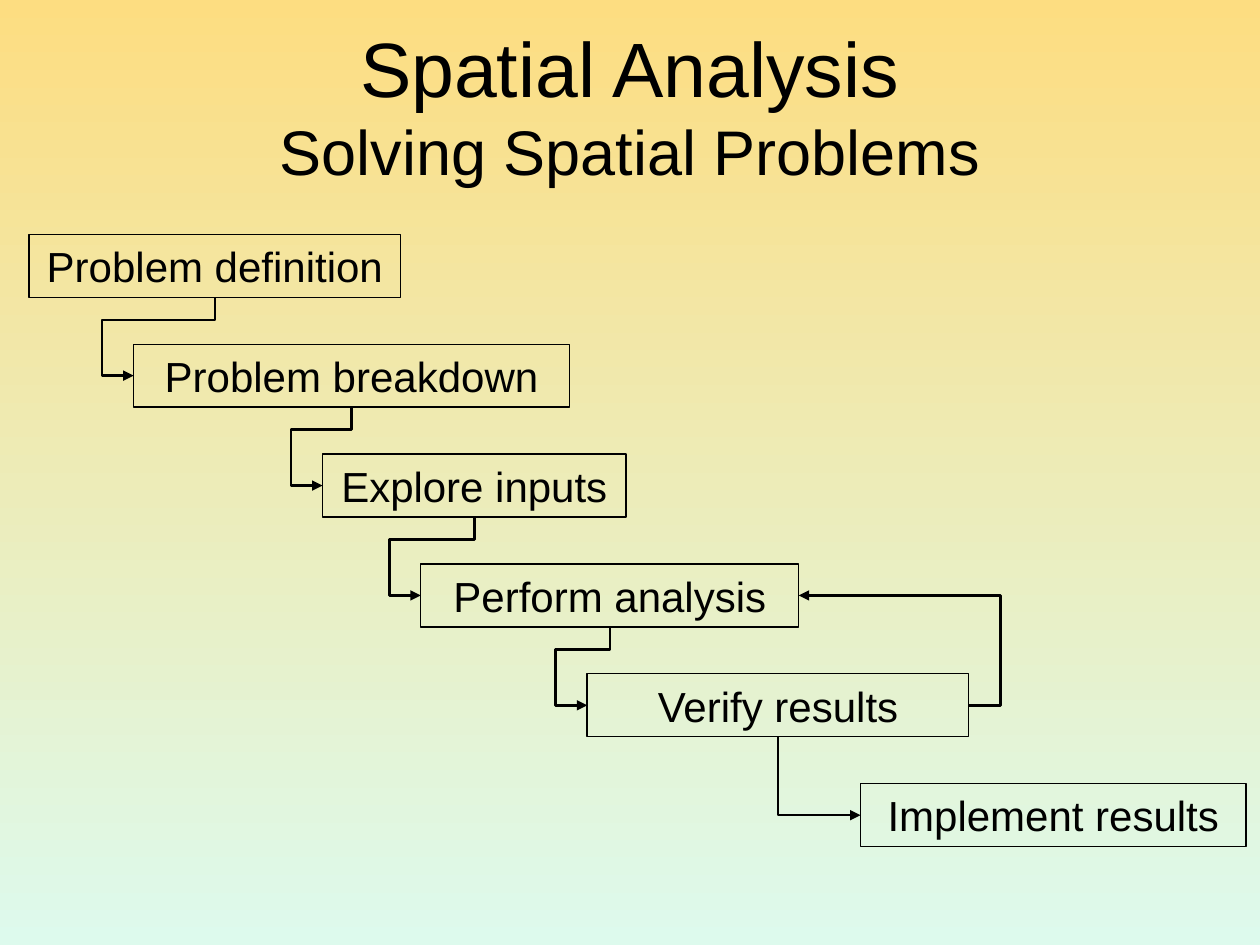
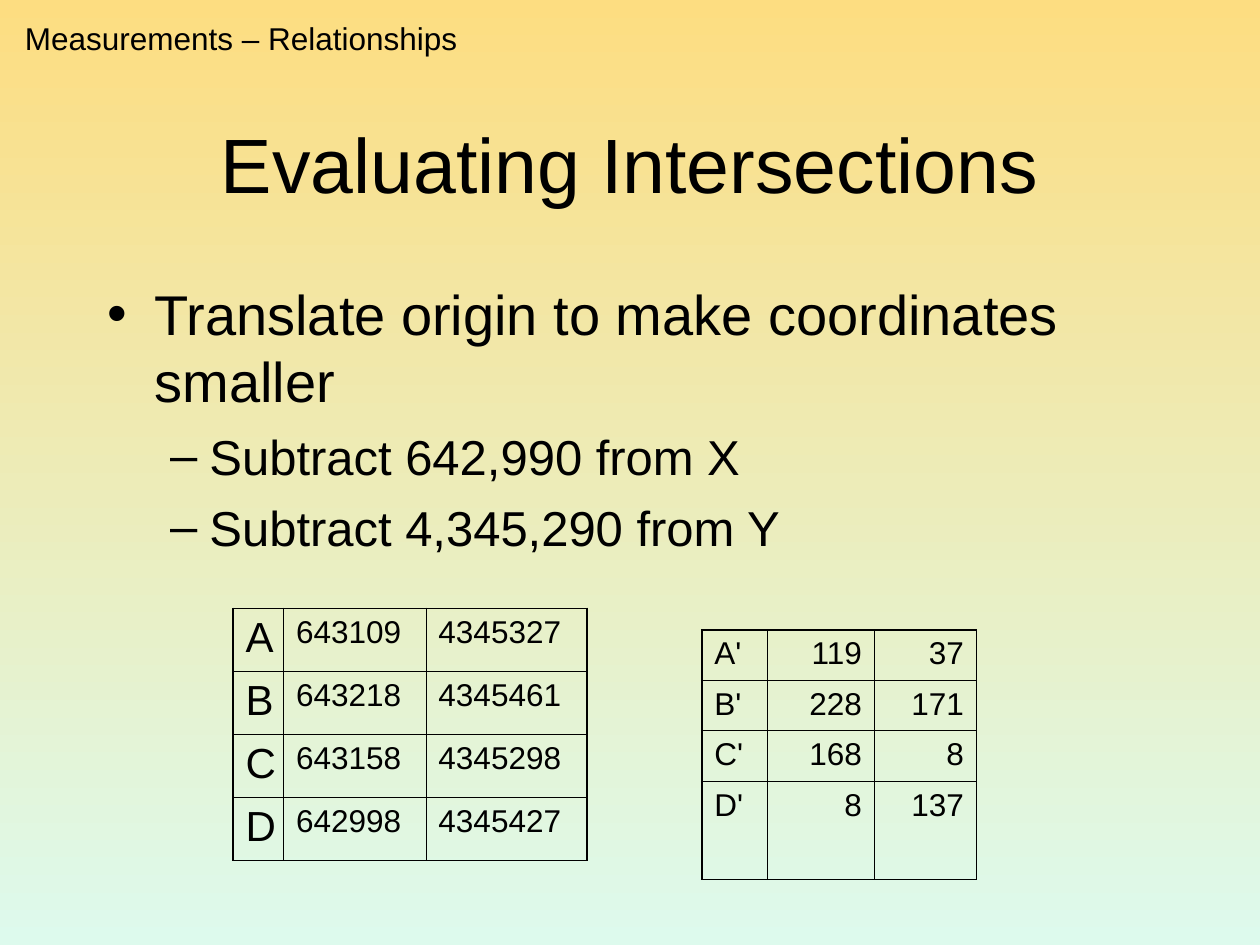
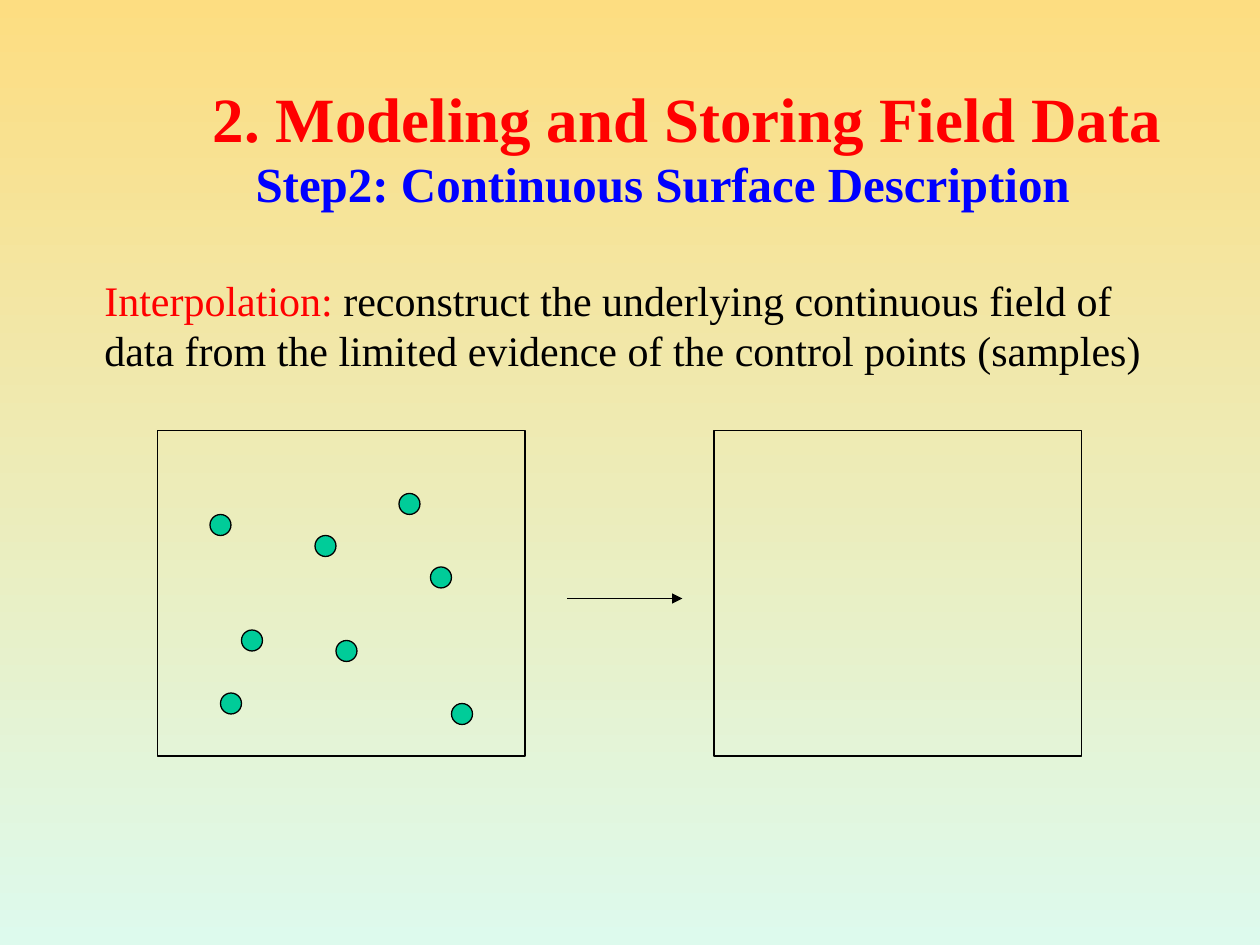
import pptx
import pptx.dml.color
import pptx.enum.shapes
import pptx.enum.text
import pptx.oxml
import pptx.oxml.ns
import pptx.util
from lxml import etree

SLIDE_SIZE = (10, 7.5)
BLACK, RED, BLUE, GREEN = "000000", "FF0000", "0000FF", "00CC99"
GRADIENT = ("FDDD81", "DDFAED")
SANS, SERIF = "Arial", "Times New Roman"
ALIGN = pptx.enum.text.PP_ALIGN
ANCHOR = pptx.enum.text.MSO_ANCHOR
SHAPE = pptx.enum.shapes.MSO_SHAPE
CONNECTOR = pptx.enum.shapes.MSO_CONNECTOR

STEPS = [
    ("Problem definition", 0.23, 2.95),
    ("Problem breakdown", 1.06, 3.46),
    ("Explore inputs", 2.56, 2.41),
    ("Perform analysis", 3.34, 3.0),
    ("Verify results", 4.66, 3.03),
    ("Implement results", 6.83, 3.06),
]
FIRST_STEP_TOP, LAST_STEP_TOP, STEP_HEIGHT = 1.86, 6.22, 0.5
ELBOW_DROP, ELBOW_OVERHANG = 0.18, 0.25

BULLETS = [
    (0, "Translate origin to make coordinates smaller", 32, 0),
    (1, "Subtract 642,990 from X", 28, 7),
    (1, "Subtract 4,345,290 from Y", 28, 7),
]
TRANSLATED = {
    "place": (5.57, 5),
    "columns": (0.52, 0.85, 0.81),
    "rows": (0.4, 0.4, 0.4, 0.78),
    "label_size": 18,
    "number_align": ALIGN.RIGHT,
    "cells": [("A'", "119", "37"), ("B'", "228", "171"), ("C'", "168", "8"), ("D'", "8", "137")],
}
MEASURED = {
    "place": (1.85, 4.83),
    "columns": (0.4, 1.13, 1.28),
    "rows": (0.5,) * 4,
    "label_size": 24,
    "number_align": ALIGN.LEFT,
    "cells": [("A", "643109", "4345327"), ("B", "643218", "4345461"),
              ("C", "643158", "4345298"), ("D", "642998", "4345427")],
}
OUTER_BORDER, INNER_BORDER = 1.08, 0.45

GRID = 1 / 12
FIELD_COLUMNS, FIELD_ROW, FIELD_SPAN = (15, 68), 41, (35, 31)
SAMPLES = [(20, 49), (23, 60), (41, 54), (38, 47), (21, 66), (30, 51), (32, 61), (43, 67)]
SAMPLE_SPAN = 2
ARROW_COLUMNS, ARROW_ROW = (54, 65), 57


def color(value):
    return pptx.dml.color.RGBColor.from_string(value)


def inches(*values):
    return [pptx.util.Inches(value) for value in values]


def format_run(run, size, font=SANS, ink=BLACK, bold=False):
    run.font.name = font
    run.font.size = pptx.util.Pt(size)
    run.font.bold = bold
    run.font.color.rgb = color(ink)


def fill_paragraph(paragraph, text, size, **style):
    paragraph.text = text
    for run in paragraph.runs:
        format_run(run, size, **style)


def set_title(slide, text, place, size=44):
    title = slide.shapes.title
    title.left, title.top, title.width, title.height = inches(*place)
    title.text_frame.auto_size = pptx.enum.text.MSO_AUTO_SIZE.NONE
    title.text_frame.vertical_anchor = ANCHOR.MIDDLE
    paragraph = title.text_frame.paragraphs[0]
    paragraph.alignment = ALIGN.CENTER
    fill_paragraph(paragraph, text, size)
    return title


def add_text(slide, text, place, size, wrap=False, **style):
    frame = slide.shapes.add_textbox(*inches(*place)).text_frame
    frame.word_wrap = wrap
    fill_paragraph(frame.paragraphs[0], text, size, **style)
    return frame.paragraphs[0]


def add_outline(slide, kind, place, fill=None):
    shape = slide.shapes.add_shape(kind, *inches(*place))
    shape.shadow.inherit = False
    if fill:
        shape.fill.solid()
        shape.fill.fore_color.rgb = color(fill)
    else:
        shape.fill.background()
    shape.line.color.rgb = color(BLACK)
    shape.line.width = pptx.util.Pt(0.75)
    return shape


def add_arrow(slide, kind, start, end, width):
    connector = slide.shapes.add_connector(kind, *inches(*start, *end))
    connector.line.color.rgb = color(BLACK)
    connector.line.width = pptx.util.Pt(width)
    tail = etree.SubElement(connector.line._get_or_add_ln(), pptx.oxml.ns.qn("a:tailEnd"))
    tail.set("type", "triangle")
    etree.SubElement(connector._element.spPr, pptx.oxml.ns.qn("a:effectLst"))
    return connector


def add_elbow(slide, start, end, preset, bends, rotation=0):
    if rotation:
        center_x, center_y = (start[0] + end[0]) / 2, (start[1] + end[1]) / 2
        half_width = abs(end[1] - start[1]) / 2
        half_height = abs(end[0] - start[0]) / 2
        if rotation == 270:
            half_width = -half_width
        start = (center_x - half_width, center_y - half_height)
        end = (center_x + half_width, center_y + half_height)
    connector = add_arrow(slide, CONNECTOR.ELBOW, start, end, 1.5)
    properties = connector._element.spPr
    if rotation:
        properties.find(pptx.oxml.ns.qn("a:xfrm")).set("rot", str(rotation * 60000))
    geometry = properties.find(pptx.oxml.ns.qn("a:prstGeom"))
    geometry.set("prst", preset)
    guides = geometry.find(pptx.oxml.ns.qn("a:avLst"))
    if guides is None:
        guides = etree.SubElement(geometry, pptx.oxml.ns.qn("a:avLst"))
    for number, bend in enumerate(bends, 1):
        guide = etree.SubElement(guides, pptx.oxml.ns.qn("a:gd"))
        guide.set("name", f"adj{number}" if len(bends) > 1 else "adj1")
        guide.set("fmla", f"val {round(bend * 100000)}")


def border_cell(cell, outer_sides):
    properties = cell._tc.get_or_add_tcPr()
    for side in "LRTB":
        width = OUTER_BORDER if side in outer_sides else INNER_BORDER
        properties.append(pptx.oxml.parse_xml(
            f'<a:ln{side} {pptx.oxml.ns.nsdecls("a")} w="{pptx.util.Pt(width)}">'
            f'<a:solidFill><a:srgbClr val="{BLACK}"/></a:solidFill></a:ln{side}>'))
    cell.fill.background()


def add_grid_table(slide, data):
    columns, rows = data["columns"], data["rows"]
    place = inches(*data["place"], sum(columns), sum(rows))
    table = slide.shapes.add_table(len(rows), len(columns), *place).table
    table.first_row = table.horz_banding = False
    for column, width in zip(table.columns, columns):
        column.width = pptx.util.Inches(width)
    for row, height in zip(table.rows, rows):
        row.height = pptx.util.Inches(height)
    last_row, last_column = len(rows) - 1, len(columns) - 1
    for row_index, values in enumerate(data["cells"]):
        for column_index, value in enumerate(values):
            cell = table.cell(row_index, column_index)
            paragraph = cell.text_frame.paragraphs[0]
            is_label = column_index == 0
            paragraph.alignment = ALIGN.LEFT if is_label else data["number_align"]
            fill_paragraph(paragraph, value, data["label_size"] if is_label else 18)
            edges = {"L": is_label, "R": column_index == last_column,
                     "T": row_index == 0, "B": row_index == last_row}
            border_cell(cell, [side for side, outer in edges.items() if outer])


def build_process(presentation):
    slide = presentation.slides.add_slide(presentation.slide_layouts[5])
    title = set_title(slide, "Spatial Analysis\vSolving Spatial Problems", (0.75, 0.23, 8.5, 1.2))
    title.text_frame.paragraphs[0].runs[1].font.size = pptx.util.Pt(36)
    pitch = (LAST_STEP_TOP - FIRST_STEP_TOP) / (len(STEPS) - 1)
    boxes = []
    for index, (label, left, width) in enumerate(STEPS):
        box = (left, FIRST_STEP_TOP + index * pitch, width, STEP_HEIGHT)
        boxes.append(box)
        frame = add_outline(slide, SHAPE.RECTANGLE, box).text_frame
        frame.word_wrap = True
        frame.vertical_anchor = ANCHOR.MIDDLE
        frame.paragraphs[0].alignment = ALIGN.CENTER
        fill_paragraph(frame.paragraphs[0], label, 24)
    for (left, top, width, height), (next_left, next_top, _, _) in zip(boxes, boxes[1:]):
        start = (left + width / 2, top + height)
        end = (next_left, next_top + height / 2)
        if end[0] > start[0]:
            add_elbow(slide, start, end, "bentConnector2", (), 270)
        else:
            bends = (ELBOW_DROP / (end[1] - start[1]), 1 + ELBOW_OVERHANG / (start[0] - end[0]))
            add_elbow(slide, start, end, "bentConnector4", bends, 90)
    analysis, verification = boxes[3:5]
    start, end = [(left + width, top + height / 2)
                  for left, top, width, height in (verification, analysis)]
    add_elbow(slide, start, end, "bentConnector3", (-ELBOW_OVERHANG / (start[0] - end[0]),))


def build_intersections(presentation):
    slide = presentation.slides.add_slide(presentation.slide_layouts[1])
    set_title(slide, "Evaluating Intersections", (0.75, 0.67, 8.5, 1.25))
    body = slide.placeholders[1]
    body.left, body.top, body.width, body.height = inches(0.75, 2.17, 8.5, 4.5)
    frame = body.text_frame
    frame.auto_size = pptx.enum.text.MSO_AUTO_SIZE.NONE
    for index, (level, text, size, space) in enumerate(BULLETS):
        paragraph = frame.add_paragraph() if index else frame.paragraphs[0]
        paragraph.level = level
        paragraph.space_before = pptx.util.Pt(space)
        fill_paragraph(paragraph, text, size)
    add_grid_table(slide, TRANSLATED)
    add_grid_table(slide, MEASURED)
    add_text(slide, "Measurements – Relationships", (0.1, 0.1, 3.63, 0.4), 18)


def build_interpolation(presentation):
    slide = presentation.slides.add_slide(presentation.slide_layouts[5])
    title = set_title(slide, "2. Modeling and Storing Field Data", (1.59, 0.58, 7.73, 0.7))
    title.text_frame.word_wrap = False
    title.text_frame.vertical_anchor = ANCHOR.TOP
    heading = title.text_frame.paragraphs[0]
    heading.alignment = ALIGN.LEFT
    format_run(heading.runs[0], 36, SERIF, RED, True)
    add_text(slide, "Step2: Continuous Surface Description", (1.93, 1.17, 6.66, 0.57), 28,
             font=SERIF, ink=BLUE, bold=True)
    definition = add_text(slide, "Interpolation: ", (0.73, 2.13, 8.43, 0.9), 24, wrap=True,
                          font=SERIF, ink=RED)
    explanation = definition.add_run()
    explanation.text = ("reconstruct the underlying continuous field of data "
                        "from the limited evidence of the control points (samples)")
    format_run(explanation, 24, SERIF)
    for column in FIELD_COLUMNS:
        place = [cells * GRID for cells in (column, FIELD_ROW, *FIELD_SPAN)]
        add_outline(slide, SHAPE.RECTANGLE, place)
    for column, row in SAMPLES:
        place = [cells * GRID for cells in (column, row, SAMPLE_SPAN, SAMPLE_SPAN)]
        add_outline(slide, SHAPE.OVAL, place, GREEN)
    start, end = [(column * GRID, ARROW_ROW * GRID) for column in ARROW_COLUMNS]
    add_arrow(slide, CONNECTOR.STRAIGHT, start, end, 0.75)


def main():
    presentation = pptx.Presentation()
    presentation.slide_width, presentation.slide_height = inches(*SLIDE_SIZE)
    background = presentation.slide_master.background.fill
    background.gradient()
    background.gradient_angle = 270
    for stop, position, value in zip(background.gradient_stops, (0, 1), GRADIENT):
        stop.position = position
        stop.color.rgb = color(value)
    build_process(presentation)
    build_intersections(presentation)
    build_interpolation(presentation)
    presentation.save("out.pptx")


if __name__ == "__main__":
    main()
